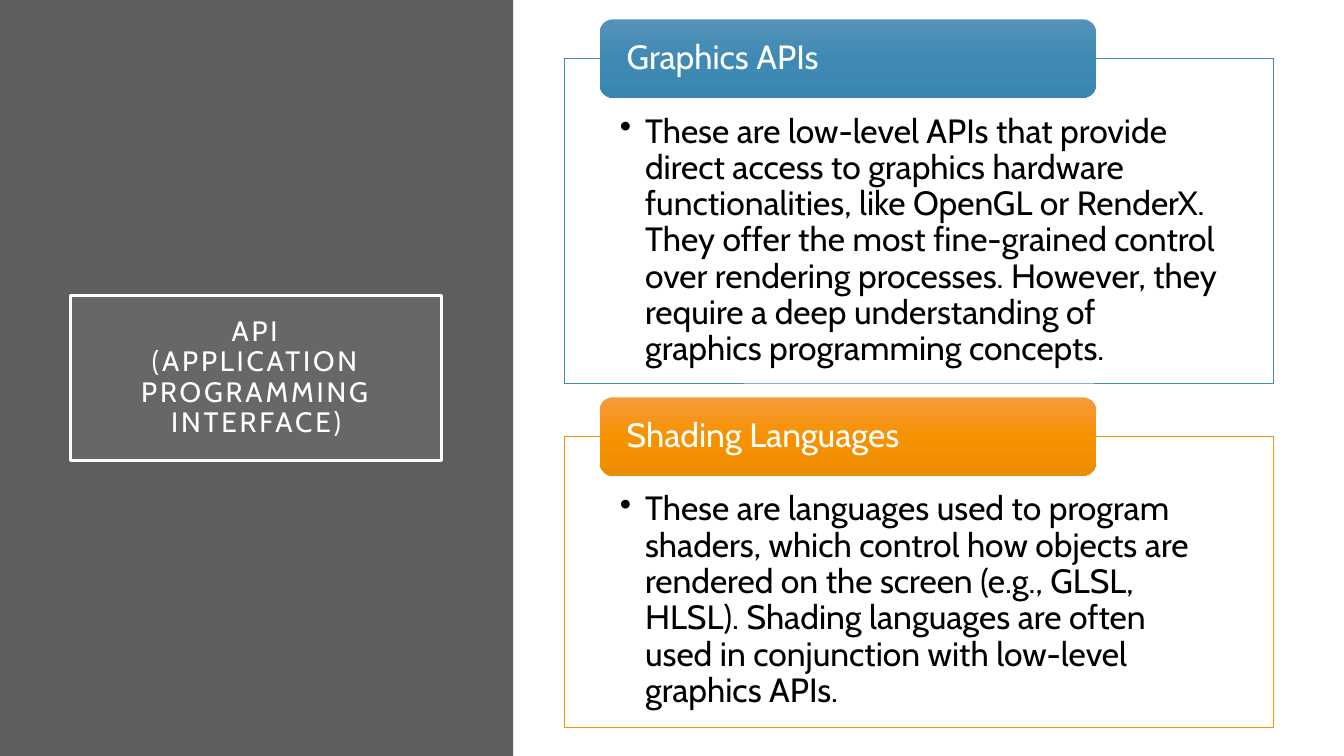
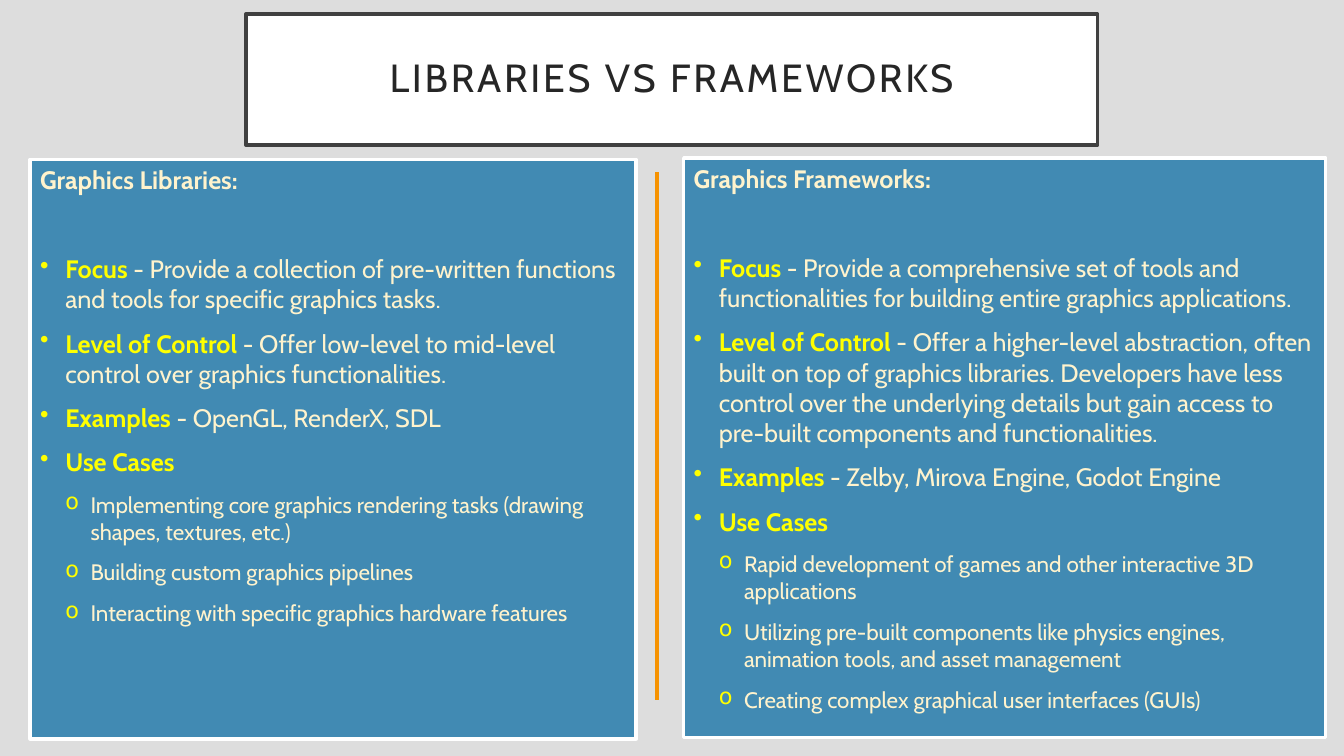
from lxml.etree import SubElement
from copy import deepcopy
from pptx import Presentation
from pptx.dml.color import RGBColor
from pptx.enum.shapes import MSO_CONNECTOR, MSO_SHAPE
from pptx.enum.text import MSO_ANCHOR, MSO_AUTO_SIZE, PP_ALIGN
from pptx.oxml.ns import qn
from pptx.util import Pt

FONT = "Cabin"
WHITE = RGBColor(0xFF, 0xFF, 0xFF)
BLACK = RGBColor(0x00, 0x00, 0x00)
SIDEBAR_GRAY = RGBColor(0x5E, 0x5E, 0x5E)
TINT_GRAY = RGBColor(0x9E, 0x9E, 0x9E)
PALE_GRAY = RGBColor(0xDD, 0xDD, 0xDD)
BORDER_GRAY = RGBColor(0x40, 0x40, 0x40)
TITLE_GRAY = RGBColor(0x26, 0x26, 0x26)
BLUE = RGBColor(0x41, 0x8A, 0xB3)
ORANGE = RGBColor(0xF6, 0x92, 0x00)
CREAM = RGBColor(0xFF, 0xF3, 0xCD)
YELLOW = RGBColor(0xFF, 0xFF, 0x00)
BLUE_GRADIENT = (RGBColor(0x55, 0x92, 0xB7), RGBColor(0x3F, 0x8A, 0xB5), RGBColor(0x39, 0x86, 0xB1))
ORANGE_GRADIENT = (RGBColor(0xF7, 0x9A, 0x3D), ORANGE, RGBColor(0xEC, 0x8C, 0x00))

SLIDE_WIDTH, SLIDE_HEIGHT = 960, 540
INDENT = 18

API_CARDS = [
    ((403.2, 41.8, 506.2, 231.8), BLUE, BLUE_GRADIENT, "Graphics APIs",
     "These are low-level APIs that provide direct access to graphics hardware "
     "functionalities, like OpenGL or RenderX. They offer the most fine-grained control "
     "over rendering processes. However, they require a deep understanding of graphics "
     "programming concepts."),
    ((403.2, 311.8, 506.2, 208), ORANGE, ORANGE_GRADIENT, "Shading Languages",
     "These are languages used to program shaders, which control how objects are rendered "
     "on the screen (e.g., GLSL, HLSL). Shading languages are often used in conjunction "
     "with low-level graphics APIs."),
]

COMPARISON = [
    ((21.6, 113.8, 432.8, 414), "Graphics Libraries:",
     [("Focus", " - Provide a collection of pre-written functions and tools for specific graphics tasks."),
      ("Level of Control", " - Offer low-level to mid-level control over graphics functionalities."),
      ("Examples", " - OpenGL, RenderX, SDL"),
      ("Use Cases", "")],
     ["Implementing core graphics rendering tasks (drawing shapes, textures, etc.)",
      "Building custom graphics pipelines",
      "Interacting with specific graphics hardware features"]),
    ((488.4, 113, 458.6, 414), "Graphics Frameworks:",
     [("Focus", " - Provide a comprehensive set of tools and functionalities for building entire "
                "graphics applications."),
      ("Level of Control", " - Offer a higher-level abstraction, often built on top of graphics "
                           "libraries. Developers have less control over the underlying details but "
                           "gain access to pre-built components and functionalities."),
      ("Examples", " - Zelby, Mirova Engine, Godot Engine"),
      ("Use Cases", "")],
     ["Rapid development of games and other interactive 3D applications",
      "Utilizing pre-built components like physics engines, animation tools, and asset management",
      "Creating complex graphical user interfaces (GUIs)"]),
]


def place(shape, box):
    """Move and size a shape to a box in points."""
    shape.left, shape.top, shape.width, shape.height = (Pt(length) for length in box)


def paint(shape, fill, line=None, line_width=0):
    """Give a shape a solid fill and an optional outline."""
    shape.fill.solid()
    shape.fill.fore_color.rgb = fill
    if line is None:
        shape.line.fill.background()
    else:
        shape.line.color.rgb = line
        shape.line.width = Pt(line_width)


def paint_gradient(shape, colors):
    """Fill a shape from top to bottom with three evenly spaced colours."""
    fill = shape.fill
    fill.gradient()
    fill.gradient_angle = 270
    stop_list = shape._element.spPr.find(qn("a:gradFill")).find(qn("a:gsLst"))
    stop_list.append(deepcopy(stop_list[0]))
    for stop, color, position in zip(fill.gradient_stops, colors, (0, 0.5, 1)):
        stop.color.rgb = color
        stop.position = position


def set_opacity(shape, percent):
    """Make the solid fill of a shape partly transparent."""
    color = shape._element.spPr.find(qn("a:solidFill"))[0]
    SubElement(color, qn("a:alpha")).set("val", str(percent * 1000))


def add_box(slide, box, preset=MSO_SHAPE.RECTANGLE):
    """Add a preset shape without shadow or outline."""
    shape = slide.shapes.add_shape(preset, *(Pt(length) for length in box))
    shape.shadow.inherit = False
    shape.line.fill.background()
    return shape


def prepare_frame(shape, insets, anchor=MSO_ANCHOR.TOP):
    """Set wrapping, anchor and insets (left, top, right, bottom) and return the text frame."""
    frame = shape.text_frame
    frame.word_wrap = True
    frame.auto_size = MSO_AUTO_SIZE.NONE
    frame.vertical_anchor = anchor
    frame.margin_left, frame.margin_top, frame.margin_right, frame.margin_bottom = map(Pt, insets)
    return frame


def add_bullet(paragraph, character, color, level):
    """Give a paragraph a coloured bullet with a hanging indent."""
    properties = paragraph._p.get_or_add_pPr()
    properties.set("marL", str(Pt(INDENT * (level + 1))))
    properties.set("indent", str(-Pt(INDENT)))
    bullet_color = SubElement(properties, qn("a:buClr"))
    SubElement(bullet_color, qn("a:srgbClr")).set("val", str(color))
    SubElement(properties, qn("a:buChar")).set("char", character)


def add_text(frame, text, size, color, bold=False, term="", bullet=None, bullet_color=BLACK,
             level=0, alignment=PP_ALIGN.LEFT, line_spacing=1.0, space_before=0, tracking=0):
    """Write one paragraph, led by an optional highlighted term."""
    paragraph = frame.paragraphs[0]
    if paragraph.runs:
        paragraph = frame.add_paragraph()
    if bullet:
        add_bullet(paragraph, bullet, bullet_color, level)
    paragraph.level = level
    paragraph.alignment = alignment
    paragraph.line_spacing = line_spacing
    paragraph.space_before = Pt(space_before)
    for index, line in enumerate(text.split("\n")):
        if index:
            paragraph.add_line_break()
        for content, run_color, run_bold in ((term, YELLOW, True), (line, color, bold)):
            if content:
                run = paragraph.add_run()
                run.text = content
                run.font.name = FONT
                run.font.size = Pt(size)
                run.font.bold = run_bold
                run.font.color.rgb = run_color
                if tracking:
                    run.font._element.set("spc", str(tracking * 100))


def add_title_slide(presentation, background, box, title, size, color, fill, line):
    """Add a title-only slide with a framed title and return it."""
    slide = presentation.slides.add_slide(presentation.slide_layouts[5])
    slide.background.fill.solid()
    slide.background.fill.fore_color.rgb = background
    place(slide.shapes.title, box)
    paint(slide.shapes.title, fill, line, 2.5)
    frame = prepare_frame(slide.shapes.title, (14.4,) * 4, MSO_ANCHOR.MIDDLE)
    add_text(frame, title, size, color, alignment=PP_ALIGN.CENTER, line_spacing=0.9, tracking=2)
    return slide


def add_card(slide, box, color, gradient, heading, text):
    """Add an outlined card with a heading tab across its top edge."""
    left, top, width, height = box
    card = add_box(slide, box)
    paint(card, WHITE, color, 0.5)
    frame = prepare_frame(card, (39.6, 39.6, 39.6, 13.7))
    add_text(frame, text, 24, BLACK, bullet="•", line_spacing=0.9)
    tab_height = 56
    tab_box = (left + width * 0.05, top - tab_height / 2, width * 0.7, tab_height)
    tab = add_box(slide, tab_box, MSO_SHAPE.ROUNDED_RECTANGLE)
    paint_gradient(tab, gradient)
    frame = prepare_frame(tab, (16.4, 0, 16.4, 0), MSO_ANCHOR.MIDDLE)
    add_text(frame, heading, 24, WHITE, line_spacing=0.9)


def add_panel(slide, box, heading, points, use_cases):
    """Add a blue panel with a heading, key points and use cases."""
    panel = add_box(slide, box)
    paint(panel, BLUE, WHITE, 2.5)
    frame = prepare_frame(panel, (7.2, 3.6, 7.2, 3.6))
    add_text(frame, heading, 18, CREAM, bold=True)
    for index, (term, text) in enumerate(points):
        add_text(frame, text, 18, CREAM, term=term, bullet="•", bullet_color=YELLOW,
                 space_before=10 if index else 42)
    for use_case in use_cases:
        add_text(frame, use_case, 16, CREAM, bullet="o", bullet_color=YELLOW, level=1,
                 space_before=10)


def add_divider(slide, x, top, bottom):
    """Add a vertical orange line."""
    divider = slide.shapes.add_connector(MSO_CONNECTOR.STRAIGHT, Pt(x), Pt(top), Pt(x), Pt(bottom))
    divider.line.color.rgb = ORANGE
    divider.line.width = Pt(2.5)
    SubElement(divider._element.spPr, qn("a:effectLst"))


def build_api_slide(presentation):
    """Build the slide with a title sidebar and two cards."""
    slide = add_title_slide(presentation, WHITE, (50.4, 211, 265, 118),
                            "API\n(APPLICATION PROGRAMMING INTERFACE)", 20, WHITE, TINT_GRAY, WHITE)
    set_opacity(slide.shapes.title, 15)
    sidebar = add_box(slide, (0, 0, 366.5, SLIDE_HEIGHT))
    paint(sidebar, SIDEBAR_GRAY)
    slide.shapes.title._element.addprevious(sidebar._element)
    for card in API_CARDS:
        add_card(slide, *card)


def build_comparison_slide(presentation):
    """Build the slide with two panels side by side."""
    slide = add_title_slide(presentation, PALE_GRAY, (175.7, 10.1, 608.4, 93.6),
                            "LIBRARIES VS FRAMEWORKS", 28, TITLE_GRAY, WHITE, BORDER_GRAY)
    for panel in COMPARISON:
        add_panel(slide, *panel)
    add_divider(slide, 469.4, 123, 499.7)


def main():
    """Build and save the presentation."""
    presentation = Presentation()
    presentation.slide_width, presentation.slide_height = Pt(SLIDE_WIDTH), Pt(SLIDE_HEIGHT)
    build_api_slide(presentation)
    build_comparison_slide(presentation)
    presentation.save("out.pptx")


if __name__ == "__main__":
    main()
